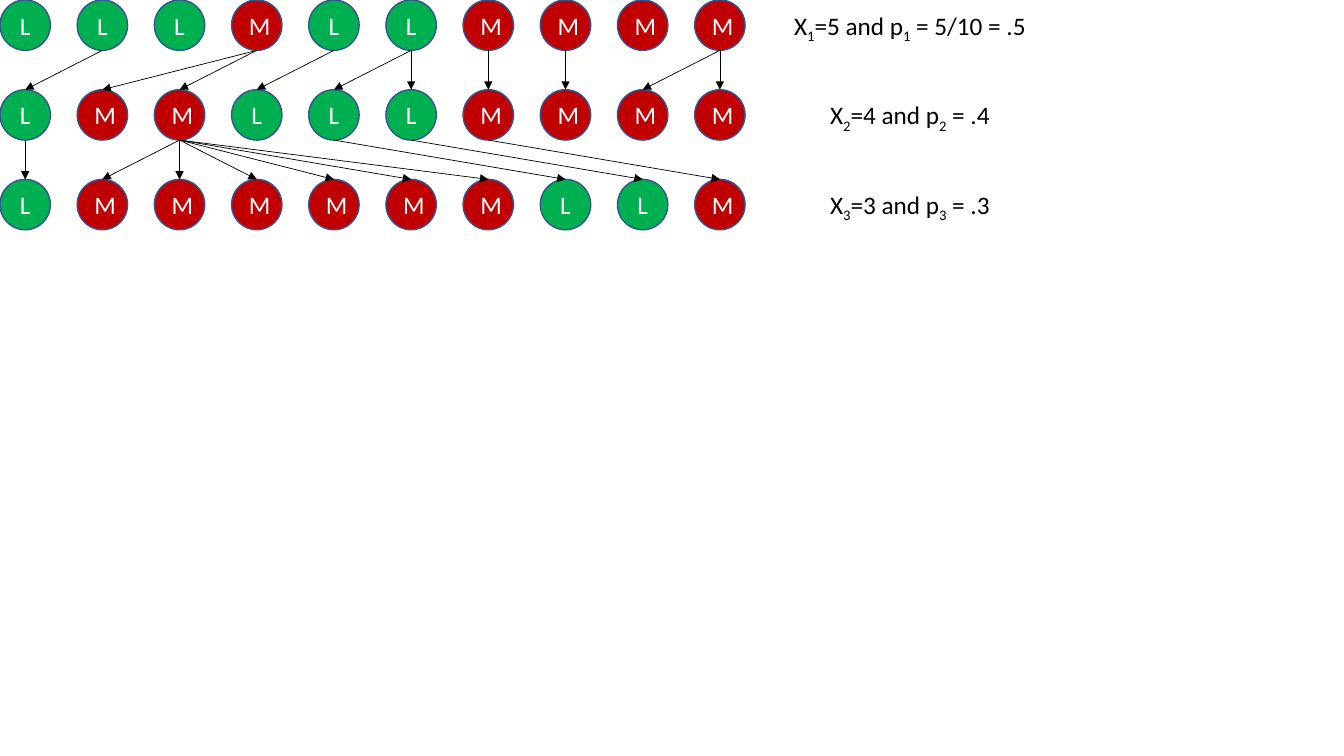
from lxml import etree
from pptx import Presentation
from pptx import util as u
from pptx.dml.color import RGBColor
from pptx.enum import shapes, text
from pptx.oxml.ns import qn

# Content: alleles per generation, parent column of each allele, and the count
GENERATIONS = [
    {"alleles": "LLLMLLMMMM", "parents": [],
     "label": ["X", "1", "=5 and p", "1", " = 5/10 = .5"]},
    {"alleles": "LMMLLLMMMM", "parents": [1, 3, 3, 4, 5, 5, 6, 7, 9, 9],
     "label": ["X", "2", "=4 and p", "2", " = .4"]},
    {"alleles": "LMMMMMMLLM", "parents": [0, 2, 2, 2, 2, 2, 2, 4, 5, 6],
     "label": ["X", "3", "=3 and p", "3", " = .3"]},
]
COLORS = {"L": "00B050", "M": "C00000", "outline": "325491",
          "letter": "FFFFFF", "ink": "000000"}
FONT, FONT_SIZE = "Calibri", 18

# Grid, in inches
DIAMETER = 0.5
COLUMN = 6.89 / 9
ROW = 0.89
LABEL_LEFT, LABEL_WIDTH, LABEL_HEIGHT = 7.66, 2.73, 0.4


def rgb(name):
    return RGBColor.from_string(COLORS[name])


def style_run(run, color):
    run.font.name = FONT
    run.font.size = u.Pt(FONT_SIZE)
    run.font.color.rgb = rgb(color)


def add_allele(slide, letter, column, row):
    allele = slide.shapes.add_shape(
        shapes.MSO_SHAPE.OVAL, u.Inches(column * COLUMN), u.Inches(row * ROW),
        u.Inches(DIAMETER), u.Inches(DIAMETER))
    allele.shadow.inherit = False
    allele.fill.solid()
    allele.fill.fore_color.rgb = rgb(letter)
    allele.line.color.rgb = rgb("outline")
    allele.line.width = u.Pt(1)
    frame = allele.text_frame
    frame.text = letter
    frame.vertical_anchor = text.MSO_ANCHOR.MIDDLE
    frame.paragraphs[0].alignment = text.PP_ALIGN.CENTER
    style_run(frame.paragraphs[0].runs[0], "letter")


def add_descent(slide, parent, child, row):
    """Arrow from the parent's bottom to the top of the child in this row."""
    parent_x, child_x = (c * COLUMN + DIAMETER / 2 for c in (parent, child))
    descent = slide.shapes.add_connector(
        shapes.MSO_CONNECTOR.STRAIGHT,
        u.Inches(parent_x), u.Inches((row - 1) * ROW + DIAMETER),
        u.Inches(child_x), u.Inches(row * ROW))
    descent.line.color.rgb = rgb("ink")
    descent.line.width = u.Pt(0.5)
    line = descent.line._get_or_add_ln()
    etree.SubElement(line, qn("a:tailEnd"), type="triangle")
    etree.SubElement(descent._element.spPr, qn("a:effectLst"))


def add_label(slide, parts, row):
    top = row * ROW + (DIAMETER - LABEL_HEIGHT) / 2
    label = slide.shapes.add_textbox(
        u.Inches(LABEL_LEFT), u.Inches(top),
        u.Inches(LABEL_WIDTH), u.Inches(LABEL_HEIGHT))
    frame = label.text_frame
    frame.word_wrap = True
    frame.auto_size = text.MSO_AUTO_SIZE.SHAPE_TO_FIT_TEXT
    paragraph = frame.paragraphs[0]
    paragraph.alignment = text.PP_ALIGN.CENTER
    for index, part in enumerate(parts):
        run = paragraph.add_run()
        run.text = part
        style_run(run, "ink")
        if index % 2:  # every second part is a subscript
            run._r.get_or_add_rPr().set("baseline", "-25000")


def main():
    deck = Presentation()
    deck.slide_width, deck.slide_height = u.Inches(13.33), u.Inches(7.5)
    slide = deck.slides.add_slide(deck.slide_layouts[6])

    for row, generation in enumerate(GENERATIONS):
        add_label(slide, generation["label"], row)
        for column, letter in enumerate(generation["alleles"]):
            add_allele(slide, letter, column, row)
        for child, parent in enumerate(generation["parents"]):
            add_descent(slide, parent, child, row)

    deck.save("out.pptx")


if __name__ == "__main__":
    main()
